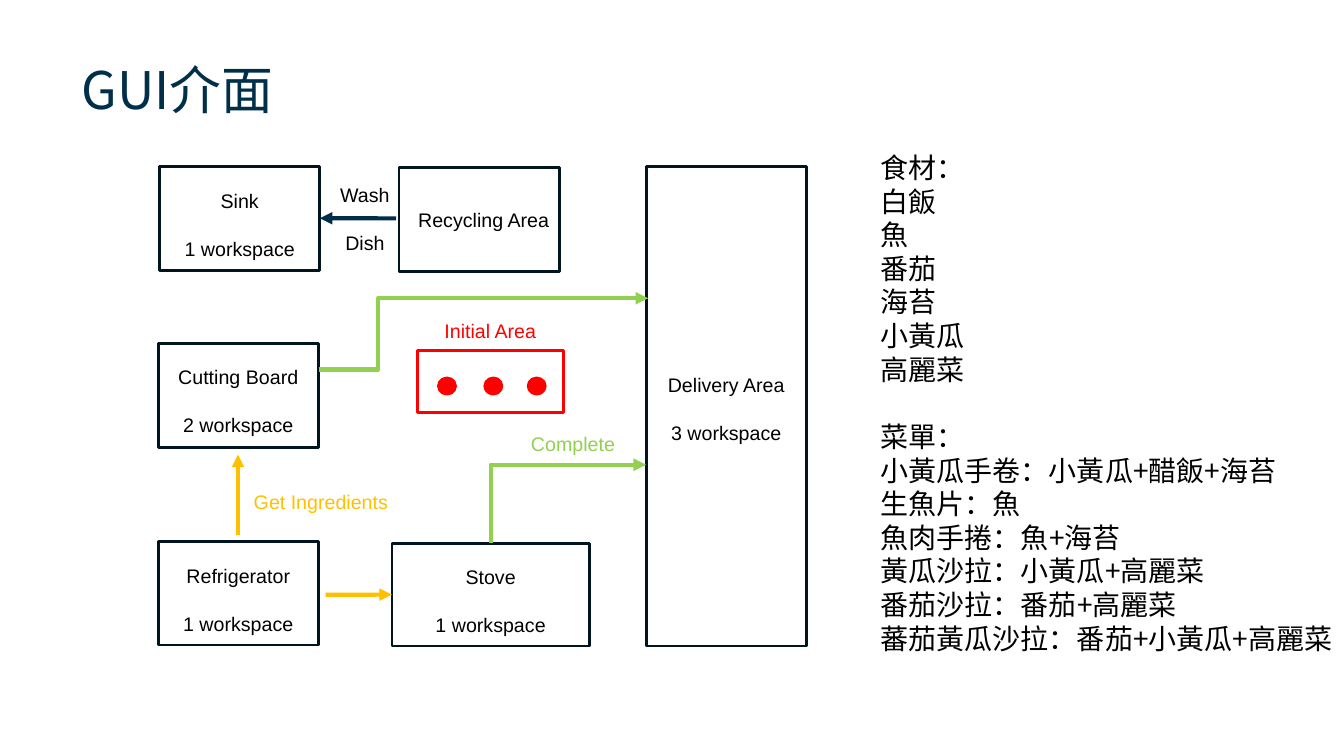
from dataclasses import dataclass
from typing import Optional

from lxml.etree import SubElement
from pptx import Presentation
from pptx.dml.color import RGBColor
from pptx.enum.shapes import MSO_CONNECTOR as Connector, MSO_SHAPE as Shape
from pptx.enum.text import MSO_ANCHOR as Anchor, MSO_AUTO_SIZE as AutoSize, PP_ALIGN as Align
from pptx.oxml.ns import qn
from pptx.util import Pt


@dataclass(frozen=True)
class Theme:
    title: str = "002F4A"
    text: str = "000000"
    outline: str = "001520"
    paper: str = "FFFFFF"
    wash: str = "002E48"
    ingredients: str = "FFC000"
    complete: str = "92D050"
    initial: str = "FF0000"
    label_font: str = "Arial"
    title_font: str = "Noto Sans CJK TC"
    list_font: str = "Noto Sans CJK SC"
    title_size: float = 37
    label_size: float = 14
    list_size: float = 20
    label_gap: float = 17.5
    list_pitch: float = 24
    outline_width: float = 2
    arrow_width: float = 3


THEME = Theme()


@dataclass(frozen=True)
class Box:
    left: float
    top: float
    width: float
    height: float

    def lengths(self) -> tuple:
        return Pt(self.left), Pt(self.top), Pt(self.width), Pt(self.height)


@dataclass(frozen=True)
class Station:
    lines: tuple
    box: Box
    inset_left: float = 0
    inset_top: float = 9


@dataclass(frozen=True)
class Label:
    lines: tuple
    box: Box
    color: str
    align: Align = Align.CENTER


@dataclass(frozen=True)
class Arrow:
    start: tuple
    end: tuple
    color: str
    target: Optional[str] = None
    target_side: int = 0
    bend: Optional[float] = None  # share of the width at which an elbow turns


STATIONS = (
    Station(("Refrigerator", "1 workspace"), Box(113, 386.6, 114.5, 74.2)),
    Station(("Sink", "1 workspace"), Box(114, 118.8, 114.5, 74.2)),
    Station(("Delivery Area", "3 workspace"), Box(461.5, 118.8, 114.5, 342.7), inset_top=4),
    Station(("Cutting Board", "2 workspace"), Box(113, 245.5, 114.5, 74.2), inset_top=7),
    Station(("Stove", "1 workspace"), Box(280, 388, 141, 73.5)),
    Station(("Recycling Area",), Box(285, 119.5, 114.5, 74.2), inset_left=6.5, inset_top=0),
)

LABELS = (
    Label(("Initial Area",), Box(298, 224.6, 104.5, 24.5), THEME.initial),
    Label(("Wash", "Dish"), Box(234.7, 127.4, 52, 58.3), THEME.text),
    Label(("Get Ingredients",), Box(174.2, 346.3, 116, 24.5), THEME.ingredients, Align.LEFT),
    Label(("Complete",), Box(372.2, 305.3, 83, 24.5), THEME.complete, Align.LEFT),
)

ARROWS = (
    Arrow((283, 156), (228.5, 156), THEME.wash, "Sink", 3),
    Arrow((170, 382.5), (170, 324.7), THEME.ingredients),
    Arrow((232.6, 424.8), (280, 424.8), THEME.ingredients, "Stove", 1),
    Arrow((228, 264), (463, 213), THEME.complete, bend=0.18),
    Arrow((350.5, 388), (461.5, 332), THEME.complete, bend=0),
)

INITIAL_AREA = Box(298, 250.6, 104.5, 44)
DOTS = tuple(Box(left, 270, 12.2, 11.5) for left in (313.2, 346.3, 377.3))

LISTS = (
    ("食材：", "白飯", "魚", "番茄", "海苔", "小黃瓜", "高麗菜"),
    (
        "菜單：",
        "小黃瓜手卷：小黃瓜+醋飯+海苔",
        "生魚片：魚",
        "魚肉手捲：魚+海苔",
        "黃瓜沙拉：小黃瓜+高麗菜",
        "番茄沙拉：番茄+高麗菜",
        "蕃茄黃瓜沙拉：番茄+小黃瓜+高麗菜",
    ),
)
LISTS_BOX = Box(622, 104, 338, 388)


def add_run(paragraph, text: str, font_name: str, size: float, color: str) -> None:
    run = paragraph.add_run()
    run.text = text
    run.font.name = font_name
    run.font.size = Pt(size)
    run.font.color.rgb = RGBColor.from_string(color)
    SubElement(run.font._element, qn("a:ea")).set("typeface", font_name)


def next_paragraph(frame, first: bool):
    return frame.paragraphs[0] if first else frame.add_paragraph()


def write_label(frame, lines: tuple, color: str, align: Align) -> None:
    frame.word_wrap = True
    for index, line in enumerate(lines):
        paragraph = next_paragraph(frame, index == 0)
        paragraph.alignment = align
        paragraph.space_before = Pt(THEME.label_gap if index else 0)
        add_run(paragraph, line, THEME.label_font, THEME.label_size, color)


def add_outlined(slide, kind: Shape, box: Box, line: str, fill: Optional[str]):
    shape = slide.shapes.add_shape(kind, *box.lengths())
    shape.shadow.inherit = False
    shape.line.color.rgb = RGBColor.from_string(line)
    shape.line.width = Pt(THEME.outline_width)
    if fill:
        shape.fill.solid()
        shape.fill.fore_color.rgb = RGBColor.from_string(fill)
    else:
        shape.fill.background()
    return shape


def add_station(slide, station: Station):
    shape = add_outlined(slide, Shape.RECTANGLE, station.box, THEME.outline, THEME.paper)
    frame = shape.text_frame
    frame.margin_left, frame.margin_top = Pt(station.inset_left), Pt(station.inset_top)
    frame.margin_right = frame.margin_bottom = 0
    frame.vertical_anchor = Anchor.MIDDLE
    write_label(frame, station.lines, THEME.text, Align.CENTER)
    return shape


def add_arrow(slide, arrow: Arrow, stations: dict) -> None:
    kind = Connector.STRAIGHT if arrow.bend is None else Connector.ELBOW
    ends = (Pt(length) for length in arrow.start + arrow.end)
    connector = slide.shapes.add_connector(kind, *ends)
    if arrow.target:
        connector.end_connect(stations[arrow.target], arrow.target_side)
    connector.line.color.rgb = RGBColor.from_string(arrow.color)
    connector.line.width = Pt(THEME.arrow_width)
    properties = connector._element.spPr
    SubElement(properties.find(qn("a:ln")), qn("a:tailEnd")).set("type", "triangle")
    SubElement(properties, qn("a:effectLst"))
    if arrow.bend is not None:
        guide = SubElement(properties.find(qn("a:prstGeom")).find(qn("a:avLst")), qn("a:gd"))
        guide.set("name", "adj1")
        guide.set("fmla", f"val {round(arrow.bend * 100000)}")


def add_lists(slide) -> None:
    frame = slide.shapes.add_textbox(*LISTS_BOX.lengths()).text_frame
    frame.word_wrap = True
    for group, lines in enumerate(LISTS):
        for index, line in enumerate(lines):
            paragraph = next_paragraph(frame, group == index == 0)
            paragraph.line_spacing = Pt(THEME.list_pitch)
            paragraph.space_before = Pt(THEME.list_pitch if group and index == 0 else 0)
            add_run(paragraph, line, THEME.list_font, THEME.list_size, THEME.text)


def format_title(title) -> None:
    title.left, title.top, title.width, title.height = Box(51, 36, 178, 55.5).lengths()
    frame = title.text_frame
    frame.auto_size = AutoSize.NONE
    frame.vertical_anchor = Anchor.MIDDLE
    frame.paragraphs[0].alignment = Align.LEFT
    add_run(frame.paragraphs[0], "GUI介面", THEME.title_font, THEME.title_size, THEME.title)


def main() -> None:
    presentation = Presentation()
    presentation.slide_width, presentation.slide_height = Pt(960), Pt(540)
    slide = presentation.slides.add_slide(presentation.slide_layouts[5])
    format_title(slide.shapes.title)
    stations = {station.lines[0]: add_station(slide, station) for station in STATIONS}
    add_lists(slide)
    for dot in DOTS:
        add_outlined(slide, Shape.OVAL, dot, THEME.initial, THEME.initial)
    add_outlined(slide, Shape.RECTANGLE, INITIAL_AREA, THEME.initial, None)
    for arrow in ARROWS:
        add_arrow(slide, arrow, stations)
    for label in LABELS:
        frame = slide.shapes.add_textbox(*label.box.lengths()).text_frame
        write_label(frame, label.lines, label.color, label.align)
    presentation.save("out.pptx")


if __name__ == "__main__":
    main()
